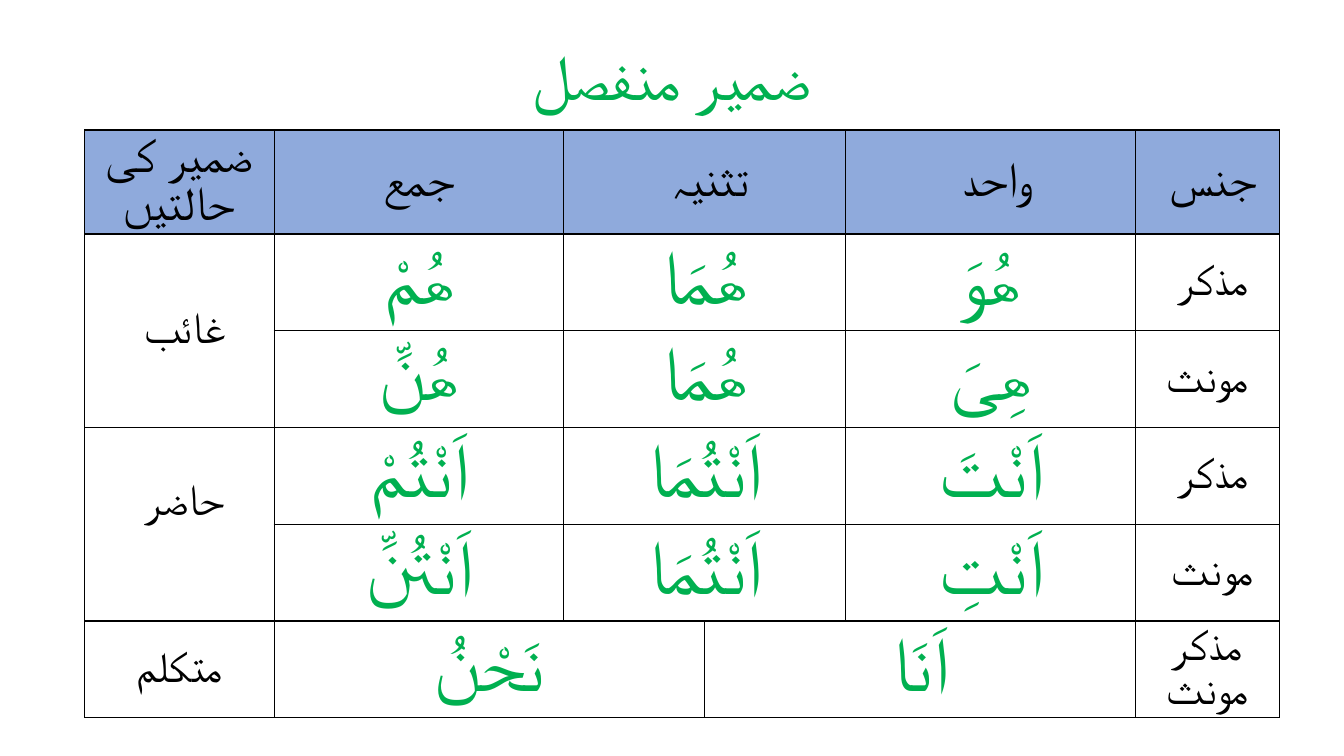
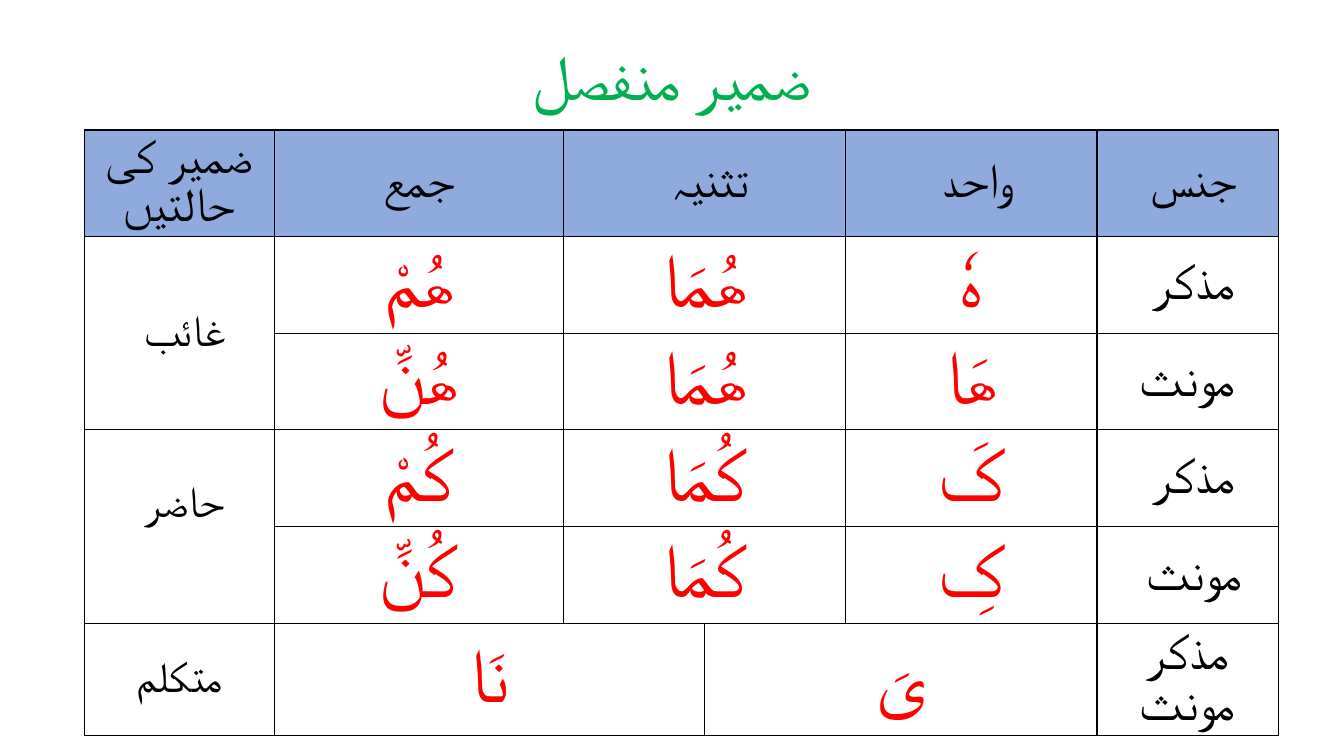
from dataclasses import dataclass

import pptx
import pptx.dml.color
import pptx.enum.text
import pptx.util
from lxml import etree
from pptx.oxml.ns import qn

PX = 9144


@dataclass(frozen=True)
class Theme:
    """Colours, fonts and type sizes shared by the slides."""

    green: str = "00B050"
    red: str = "FF0000"
    black: str = "000000"
    header_fill: str = "8FAADC"
    title_font: str = "Calibri"
    table_font: str = "Roboto"
    form_font: str = "Arial"
    title_size: float = 46.5
    header_size: int = 34
    label_size: int = 31
    wide_label_size: int = 36
    form_size: int = 54
    border_width: int = 1
    table_line_spacing: float = 0.86


THEME = Theme()
TITLE = "ضمیر منفصل"
HEADERS = ("ضمیر کی حالتیں", "جمع", "تثنیہ ", "واحد ", "جنس ")
PERSONS = ("غائب ", "حاضر ", "متکلم")
GENDERS = ("مذکر ", "مونث", "مذکر ", "مونث ", "مذکر مونث")
ROW_HEIGHTS = (83, 96, 96, 96, 96, 96)


@dataclass(frozen=True)
class TextStyle:
    """Font, size, colour and line spacing of one kind of text."""

    font: str
    size: float
    color: str
    line_spacing: float = THEME.table_line_spacing


@dataclass(frozen=True)
class PronounTable:
    """Forms (plural, dual, singular by row) with their look and column widths."""

    forms: tuple
    form_style: TextStyle
    gender_size: int
    columns: tuple
    table_font_forms: tuple = ()


DETACHED = PronounTable(
    forms=(
        ("ھُمْ", "ھُمَا", "ھُوَ"),
        ("ھُنَّ", "ھُمَا", "ھِیَ"),
        ("اَنْتُمْ", "اَنْتُمَا", "اَنْتَ"),
        ("اَنْتُنَّ", "اَنْتُمَا", "اَنْتِ"),
        ("نَحْنُ", "اَنَا"),
    ),
    form_style=TextStyle(THEME.form_font, THEME.form_size, THEME.green),
    gender_size=THEME.label_size,
    columns=(188, 287, 140, 140, 287, 143),
    table_font_forms=("ھُوَ",),
)
ATTACHED = PronounTable(
    forms=(
        ("ھُمْ", "ھُمَا", "ہٗ"),
        ("ھُنَّ", "ھُمَا", "ھَا"),
        ("کُمْ", "کُمَا", "کَ"),
        ("کُنَّ", "کُمَا", "کِ"),
        ("نَا", "یَ"),
    ),
    form_style=TextStyle(THEME.table_font, THEME.form_size, THEME.red),
    gender_size=THEME.wide_label_size,
    columns=(188, 287, 140, 140, 249, 180),
)


def px(length):
    """Turn pixels into EMU."""
    return pptx.util.Emu(length * PX)


def rgb(color):
    """Turn a hex string into a colour."""
    return pptx.dml.color.RGBColor.from_string(color)


def write_text(text_frame, text, style):
    """Write one centred right-to-left paragraph."""
    paragraph = text_frame.paragraphs[0]
    run = paragraph.add_run()
    run.text = text
    paragraph.alignment = pptx.enum.text.PP_ALIGN.CENTER
    paragraph.line_spacing = style.line_spacing
    paragraph._p.get_or_add_pPr().set("rtl", "1")
    for font in (paragraph.font, run.font):
        font.name = style.font
        font.size = pptx.util.Pt(style.size)
        font.color.rgb = rgb(style.color)
    complex_script = etree.SubElement(run._r.get_or_add_rPr(), qn("a:cs"))
    complex_script.set("typeface", style.font)


def add_title(slide):
    """Add the centred slide title."""
    box = slide.shapes.add_textbox(px(457), px(30), px(419), px(88))
    frame = box.text_frame
    frame.word_wrap = True
    frame.auto_size = pptx.enum.text.MSO_AUTO_SIZE.SHAPE_TO_FIT_TEXT
    frame.vertical_anchor = pptx.enum.text.MSO_ANCHOR.MIDDLE
    style = TextStyle(THEME.title_font, THEME.title_size, THEME.green, line_spacing=1.0)
    write_text(frame, TITLE, style)


def add_borders(cell):
    """Draw a thin line on all four sides of a cell."""
    properties = cell._tc.get_or_add_tcPr()
    for index, side in enumerate(("lnL", "lnR", "lnT", "lnB")):
        line = etree.Element(qn(f"a:{side}"), w=str(pptx.util.Pt(THEME.border_width)))
        fill = etree.SubElement(line, qn("a:solidFill"))
        etree.SubElement(fill, qn("a:srgbClr"), val=THEME.black)
        properties.insert(index, line)


def format_cell(cell, is_header):
    """Set the margins, anchor, fill and borders of a cell."""
    cell.margin_left = cell.margin_right = px(9)
    cell.margin_top = cell.margin_bottom = px(4)
    cell.vertical_anchor = pptx.enum.text.MSO_ANCHOR.MIDDLE
    if is_header:
        cell.fill.solid()
        cell.fill.fore_color.rgb = rgb(THEME.header_fill)
    else:
        cell.fill.background()
    add_borders(cell)


def add_grid(slide, columns):
    """Add the formatted empty table and merge its cells."""
    table = slide.shapes.add_table(
        len(ROW_HEIGHTS), len(columns), px(84), px(129), px(sum(columns)), px(sum(ROW_HEIGHTS))
    ).table
    table.first_row = table.horz_banding = False
    for column, width in zip(table.columns, columns):
        column.width = px(width)
    for index, (row, height) in enumerate(zip(table.rows, ROW_HEIGHTS)):
        row.height = px(height)
        for cell in row.cells:
            format_cell(cell, is_header=index == 0)
    last = len(ROW_HEIGHTS) - 1
    for row in range(last):
        table.cell(row, 2).merge(table.cell(row, 3))
    for column in (1, 3):
        table.cell(last, column).merge(table.cell(last, column + 1))
    for row in (1, 3):
        table.cell(row, 0).merge(table.cell(row + 1, 0))
    return table


def add_pronoun_table(slide, content):
    """Add a pronoun table with its headers, persons, forms and genders."""
    table = add_grid(slide, content.columns)
    header_style = TextStyle(THEME.table_font, THEME.header_size, THEME.black)
    person_style = TextStyle(THEME.table_font, THEME.label_size, THEME.black)
    gender_style = TextStyle(THEME.table_font, content.gender_size, THEME.black)
    table_form_style = TextStyle(THEME.table_font, THEME.form_size, content.form_style.color)
    for column, text in zip((0, 1, 2, 4, 5), HEADERS):
        write_text(table.cell(0, column).text_frame, text, header_style)
    for row, text in zip((1, 3, 5), PERSONS):
        write_text(table.cell(row, 0).text_frame, text, person_style)
    table.cell(3, 0).margin_bottom = px(48)
    for row, (forms, gender) in enumerate(zip(content.forms, GENDERS), start=1):
        form_columns = (1, 2, 4) if len(forms) == 3 else (1, 3)
        for column, text in zip(form_columns, forms):
            special = text in content.table_font_forms
            style = table_form_style if special else content.form_style
            write_text(table.cell(row, column).text_frame, text, style)
        write_text(table.cell(row, 5).text_frame, gender, gender_style)


def main():
    """Build both slides and save the presentation."""
    presentation = pptx.Presentation()
    presentation.slide_width, presentation.slide_height = px(1333), px(750)
    for content in (DETACHED, ATTACHED):
        slide = presentation.slides.add_slide(presentation.slide_layouts[6])
        add_pronoun_table(slide, content)
        add_title(slide)
    presentation.save("out.pptx")


if __name__ == "__main__":
    main()
